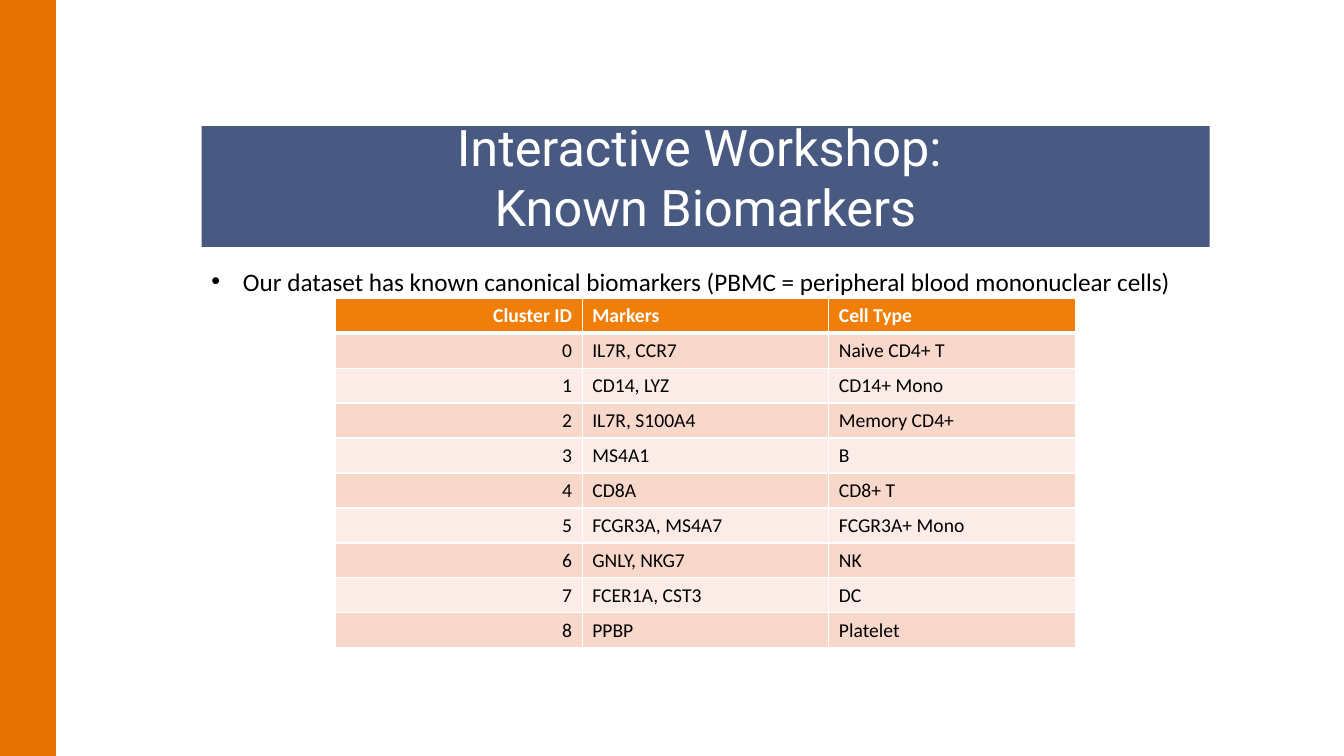
from lxml import etree
from pptx import Presentation
from pptx.dml.color import RGBColor
from pptx.enum import shapes, text
from pptx.oxml import ns
from pptx.util import Pt

ORANGE = RGBColor(0xE4, 0x71, 0x00)
NAVY = RGBColor(0x48, 0x5A, 0x82)
HEADER = RGBColor(0xF0, 0x7F, 0x09)
BANDS = RGBColor(0xFC, 0xEC, 0xE7), RGBColor(0xF9, 0xD8, 0xCC)
WHITE = RGBColor(0xFF, 0xFF, 0xFF)
BLACK = RGBColor(0, 0, 0)

MARKERS = [
    ("Cluster ID", "Markers", "Cell Type"),
    ("0", "IL7R, CCR7", "Naive CD4+ T"),
    ("1", "CD14, LYZ", "CD14+ Mono"),
    ("2", "IL7R, S100A4", "Memory CD4+"),
    ("3", "MS4A1", "B"),
    ("4", "CD8A", "CD8+ T"),
    ("5", "FCGR3A, MS4A7", "FCGR3A+ Mono"),
    ("6", "GNLY, NKG7", "NK"),
    ("7", "FCER1A, CST3", "DC"),
    ("8", "PPBP", "Platelet"),
]


def format_runs(paragraph, font_name, size, color, bold=False):
    """Give every run of a paragraph the same font."""
    for run in paragraph.runs:
        run.font.name = font_name
        run.font.size = Pt(size)
        run.font.color.rgb = color
        run.font.bold = bold


def add_side_bar(slide, left, top, width, height):
    """Draw the plain colour band in the given box."""
    bar = slide.shapes.add_shape(
        shapes.MSO_SHAPE.RECTANGLE, Pt(left), Pt(top), Pt(width), Pt(height))
    bar.shadow.inherit = False
    bar.fill.solid()
    bar.fill.fore_color.rgb = ORANGE
    bar.line.fill.background()


def place_title(slide, left, top, width, height, wording):
    """Move the title placeholder into the box and format it."""
    title = slide.shapes.title
    title.left, title.top, title.width, title.height = map(Pt, (left, top, width, height))
    title.fill.solid()
    title.fill.fore_color.rgb = NAVY
    frame = title.text_frame
    frame.text = wording
    frame.word_wrap = True
    frame.auto_size = text.MSO_AUTO_SIZE.NONE
    frame.vertical_anchor = text.MSO_ANCHOR.BOTTOM
    frame.margin_left = frame.margin_right = Pt(7.2)
    frame.margin_top = frame.margin_bottom = Pt(7.2)
    for paragraph in frame.paragraphs:
        paragraph.alignment = text.PP_ALIGN.CENTER
        format_runs(paragraph, "Roboto", 36, WHITE)


def add_bullet(slide, left, top, width, height, wording):
    """Write one bulleted line in the given box."""
    frame = slide.shapes.add_textbox(Pt(left), Pt(top), Pt(width), Pt(height)).text_frame
    frame.word_wrap = True
    frame.text = wording
    paragraph = frame.paragraphs[0]
    format_runs(paragraph, "Calibri", 18, BLACK)
    properties = paragraph._p.get_or_add_pPr()
    indent = Pt(22.5)
    properties.set("marL", str(indent))
    properties.set("indent", str(-indent))
    etree.SubElement(properties, ns.qn("a:buFont")).set("typeface", "Arial")
    etree.SubElement(properties, ns.qn("a:buChar")).set("char", "•")


def set_borders(cell, widths):
    """Draw white cell borders from a mapping of side to width."""
    properties = cell._tc.get_or_add_tcPr()
    for position, (side, width) in enumerate(widths.items()):
        line = etree.Element(ns.qn(f"a:ln{side}"), w=str(Pt(width)))
        fill = etree.SubElement(line, ns.qn("a:solidFill"))
        etree.SubElement(fill, ns.qn("a:srgbClr")).set("val", str(WHITE))
        properties.insert(position, line)


def add_marker_table(slide, left, top, width, height, rows):
    """Fill the box with a banded table under a bold header row."""
    table = slide.shapes.add_table(
        len(rows), len(rows[0]), Pt(left), Pt(top), Pt(width), Pt(height)).table
    for row_index, row in enumerate(rows):
        is_header = row_index == 0
        widths = {"L": 1, "R": 1, "T": 3 if row_index == 1 else 1, "B": 3 if is_header else 1}
        for column_index, wording in enumerate(row):
            cell = table.cell(row_index, column_index)
            cell.text = wording
            cell.vertical_anchor = text.MSO_ANCHOR.MIDDLE
            cell.fill.solid()
            cell.fill.fore_color.rgb = HEADER if is_header else BANDS[row_index % 2]
            set_borders(cell, widths)
            paragraph = cell.text_frame.paragraphs[0]
            paragraph.alignment = text.PP_ALIGN.LEFT if column_index else text.PP_ALIGN.RIGHT
            format_runs(paragraph, "Calibri", 14, WHITE if is_header else BLACK, is_header)


def build_biomarker_slide(presentation, width, height):
    """Build the slide of known biomarkers in a box of the given size."""
    slide = presentation.slides.add_slide(presentation.slide_layouts[5])
    add_side_bar(slide, 0, 0, 40, height)
    content_left, content_width = 144, 720
    place_title(slide, content_left, 90, content_width, 86.4,
                "Interactive Workshop: \nKnown Biomarkers")
    add_bullet(slide, content_left, 186.5, content_width, 51,
               "Our dataset has known canonical biomarkers "
               "(PBMC = peripheral blood mononuclear cells)\u00a0")
    table_width = 528.6
    table_left = content_left + (content_width - table_width) / 2
    add_marker_table(slide, table_left, 213, table_width, 250, MARKERS)


def main():
    """Create and save the presentation."""
    presentation = Presentation()
    width, height = 960, 540
    presentation.slide_width, presentation.slide_height = Pt(width), Pt(height)
    build_biomarker_slide(presentation, width, height)
    presentation.save("out.pptx")


if __name__ == "__main__":
    main()
